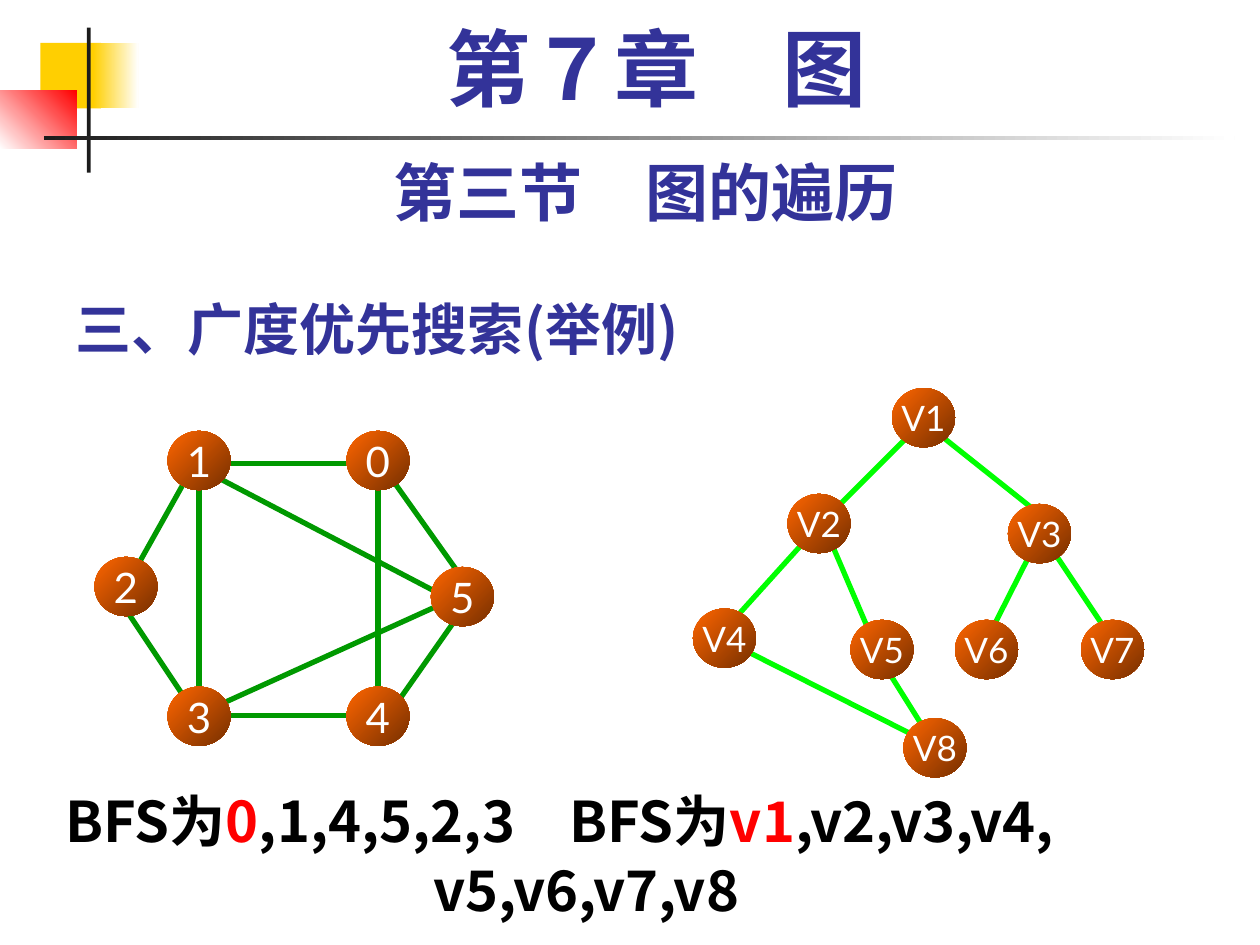
from lxml import etree
from pptx import Presentation
from pptx.dml.color import RGBColor
from pptx.enum.shapes import MSO_CONNECTOR, MSO_SHAPE
from pptx.enum.text import MSO_ANCHOR, MSO_AUTO_SIZE, PP_ALIGN
from pptx.oxml.ns import qn
from pptx.util import Inches, Pt

NAVY = RGBColor(0x33, 0x33, 0x99)
BLACK = RGBColor(0, 0, 0)
WHITE = RGBColor(0xFF, 0xFF, 0xFF)
RED = RGBColor(0xFF, 0, 0)
YELLOW = RGBColor(0xFF, 0xCF, 0x01)
CHARCOAL = RGBColor(0x1C, 0x1C, 0x1C)
ORANGE = RGBColor(0xFF, 0x66, 0x00)
BROWN = RGBColor(0x76, 0x2F, 0x00)
GREEN = RGBColor(0, 0x99, 0)
LIME = RGBColor(0, 0xFF, 0)
CJK = "Noto Sans CJK SC"


def format_run(run, size, color, font=CJK, bold=True):
    run.font.size = Pt(size)
    run.font.bold = bold
    run.font.color.rgb = color
    run.font.name = font
    etree.SubElement(run.font._element, qn("a:ea"), typeface=CJK)


def paint(shape, start, end=None, angle=0):
    shape.shadow.inherit = False
    shape.line.fill.background()
    if end is None:
        shape.fill.solid()
        shape.fill.fore_color.rgb = start
        return
    shape.fill.gradient()
    shape.fill.gradient_angle = angle
    for stop, color in zip(shape.fill.gradient_stops, (start, end)):
        stop.color.rgb = color


prs = Presentation()
prs.slide_width, prs.slide_height = Inches(10), Inches(7.5)
slide = prs.slides.add_slide(prs.slide_layouts[1])

ornaments = [
    (0.32, 0.34, 0.48, 0.52, YELLOW, None, 0),
    (0.74, 0.34, 0.36, 0.52, YELLOW, WHITE, 0),
    (0, 0.72, 0.61, 0.46, WHITE, RED, 45),
    (0.69, 0.22, 0.03, 1.15, CHARCOAL, None, 0),
    (0.35, 1.08, 9.45, 0.03, CHARCOAL, WHITE, 0),
]
for left, top, width, height, start, end, angle in ornaments:
    ornament = slide.shapes.add_shape(
        MSO_SHAPE.RECTANGLE, Inches(left), Inches(top), Inches(width), Inches(height))
    paint(ornament, start, end, angle)

topic = slide.shapes.title
topic.left, topic.top, topic.width, topic.height = (
    Inches(0.5), Inches(2.17), Inches(8.25), Inches(0.75))
topic.text_frame.text = "三、广度优先搜索(举例)"
topic.text_frame.vertical_anchor = MSO_ANCHOR.BOTTOM
topic.text_frame.auto_size = MSO_AUTO_SIZE.NONE
topic.text_frame.paragraphs[0].alignment = PP_ALIGN.LEFT
format_run(topic.text_frame.paragraphs[0].runs[0], 32, NAVY)

headings = [
    ("第７章\u3000图".replace("\u3000", "　"), 0.67, 0.17, 9.08, 0.83, 48, "Times New Roman", 0.9),
    ("第三节　图的遍历", 0.5, 1.17, 9.25, 0.7, 36, "Lato", 1.0),
]
for words, left, top, width, height, size, font, spacing in headings:
    heading = slide.shapes.add_textbox(
        Inches(left), Inches(top), Inches(width), Inches(height)).text_frame
    heading.word_wrap = True
    heading.text = words
    line = heading.paragraphs[0]
    line.alignment = PP_ALIGN.CENTER
    line.line_spacing = spacing
    format_run(line.runs[0], size, NAVY, font)

answers = slide.placeholders[1]
answers.left, answers.top, answers.width, answers.height = (
    Inches(0.42), Inches(6.25), Inches(9.58), Inches(1.25))
answers.text_frame.auto_size = MSO_AUTO_SIZE.NONE
answer_lines = [
    (0, [("BFS为", BLACK), ("0", RED), (",1,4,5,2,3\tBFS为", BLACK),
         ("v1", RED), (",v2,v3,v4,", BLACK)]),
    (2.92, [("v5,v6,v7,v8", BLACK)]),
]
answers.text_frame.text = "\n".join("" for _ in answer_lines)
for line, (indent, pieces) in zip(answers.text_frame.paragraphs, answer_lines):
    line.line_spacing = 0.9
    line.space_before = Pt(5)
    properties = line._p.get_or_add_pPr()
    properties.set("marL", str(Inches(indent)))
    properties.set("indent", "0")
    etree.SubElement(properties, qn("a:buNone"))
    tabs = etree.SubElement(properties, qn("a:tabLst"))
    etree.SubElement(tabs, qn("a:tab"), pos=str(Inches(4.6)), algn="l")
    for words, color in pieces:
        run = line.add_run()
        run.text = words
        format_run(run, 32, color)

cyclic_nodes = {"1": (1.33, 3.42), "3": (1.33, 5.45), "2": (0.75, 4.42),
                "5": (3.42, 4.5), "4": (2.75, 5.45), "0": (2.75, 3.42)}
cyclic_edges = [
    (2.83, 3.68, 1.83, 3.68), (3, 3.84, 3, 5.51), (3.08, 3.76, 3.67, 4.59),
    (1.5, 3.76, 1.08, 4.51), (1.58, 5.59, 1.58, 3.84), (3.58, 4.76, 1.67, 3.76),
    (1.5, 5.59, 1, 4.84), (2.92, 5.68, 1.67, 5.68), (3.58, 4.76, 1.75, 5.59),
    (3.67, 4.84, 3.08, 5.68),
]
layered_nodes = {"V1": (7.08, 3.08), "V3": (8, 4), "V2": (6.25, 3.92), "V5": (6.75, 4.92),
                 "V4": (5.5, 4.83), "V6": (7.58, 4.92), "V7": (8.58, 4.92), "V8": (7.17, 5.7)}
layered_edges = [
    (6.5, 4.17, 5.75, 5), (7.25, 3.42, 6.5, 4.17), (7, 5.25, 6.5, 4.08),
    (7.42, 5.92, 5.75, 5.08), (7.42, 5.92, 7, 5.25), (7.42, 3.42, 8.25, 4.08),
    (8.25, 4.25, 7.83, 5.08), (8.33, 4.33, 8.83, 5.08),
]
for nodes, edges, edge_color, label_size in [
        (cyclic_nodes, cyclic_edges, GREEN, 24), (layered_nodes, layered_edges, LIME, 20)]:
    graph = slide.shapes.add_group_shape().shapes
    for ends in edges:
        edge = graph.add_connector(MSO_CONNECTOR.STRAIGHT, *map(Inches, ends))
        edge.line.color.rgb = edge_color
        edge.line.width = Pt(3)
        etree.SubElement(edge._element.spPr, qn("a:effectLst"))
    for label, (left, top) in nodes.items():
        node = graph.add_shape(
            MSO_SHAPE.OVAL, Inches(left), Inches(top), Inches(0.5), Inches(0.47))
        paint(node, ORANGE, BROWN, 315)
        caption = node.text_frame
        caption.margin_left = caption.margin_right = 0
        caption.word_wrap = False
        caption.vertical_anchor = MSO_ANCHOR.MIDDLE
        caption.text = label
        caption.paragraphs[0].alignment = PP_ALIGN.CENTER
        format_run(caption.paragraphs[0].runs[0], label_size, WHITE, "Lato", False)

prs.save("out.pptx")
